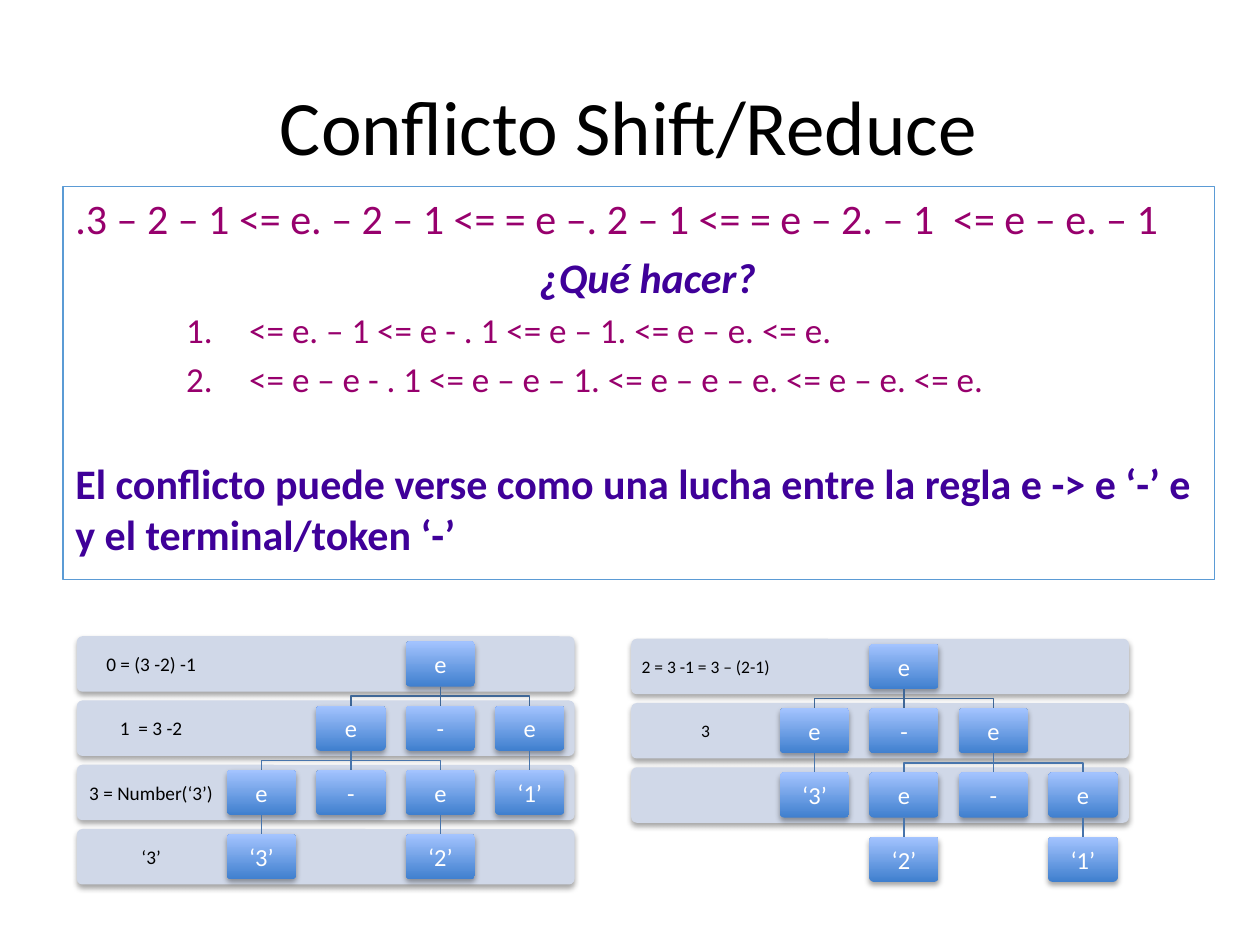
from lxml import etree
from pptx import Presentation
from pptx.dml.color import RGBColor
from pptx.enum import shapes, text
from pptx.oxml import ns
from pptx.util import Inches, Pt

BLACK = RGBColor(0x00, 0x00, 0x00)
WHITE = RGBColor(0xFF, 0xFF, 0xFF)
PLUM = RGBColor(0x97, 0x00, 0x6D)
INDIGO = RGBColor(0x3F, 0x00, 0x99)
FRAME = RGBColor(0x5B, 0x9B, 0xD5)
BAND = RGBColor(0xD0, 0xD8, 0xE8)
NODE_DARK = RGBColor(0x3F, 0x7F, 0xCE)
NODE_LIGHT = RGBColor(0xA4, 0xC4, 0xFF)
LINK_TOP = RGBColor(0x3F, 0x67, 0x97)
LINK = RGBColor(0x48, 0x75, 0xAC)

PITCH_X, PITCH_Y = 0.71, 0.51
NODE_W, NODE_H = 0.55, 0.36
BAND_W, BAND_H, LABEL_W = 3.95, 0.44, 1.18


def write(tf, words, size, color, inset):
    tf.word_wrap = True
    tf.vertical_anchor = text.MSO_ANCHOR.MIDDLE
    tf.margin_left = tf.margin_right = tf.margin_top = tf.margin_bottom = Inches(inset)
    p = tf.paragraphs[0]
    p.alignment = text.PP_ALIGN.CENTER
    r = p.add_run()
    r.text = words
    r.font.name, r.font.size, r.font.color.rgb = "Calibri", Pt(size), color


def add_card(s, left, top, width, height):
    sp = s.shapes.add_shape(shapes.MSO_SHAPE.ROUNDED_RECTANGLE,
                            Inches(left), Inches(top), Inches(width), Inches(height))
    sp.adjustments[0] = 0.1
    sp.line.fill.background()
    sp.shadow.inherit = False
    effects = sp._element.spPr.find(ns.qn("a:effectLst"))
    shadow = etree.SubElement(effects, ns.qn("a:outerShdw"), blurRad=str(Pt(3.1)),
                              dist=str(Pt(1.8)), dir="5400000", rotWithShape="0")
    shade = etree.SubElement(shadow, ns.qn("a:srgbClr"), val="000000")
    etree.SubElement(shade, ns.qn("a:alpha"), val="35000")
    return sp


prs = Presentation()
prs.slide_width, prs.slide_height = Inches(10), Inches(7.5)
s = prs.slides.add_slide(prs.slide_layouts[6])

body = s.shapes.add_textbox(Inches(0.5), Inches(1.48), Inches(9.14), Inches(3.12))
body.line.color.rgb = FRAME
body.line.width = Pt(0.75)
tf = body.text_frame
tf.word_wrap = True
LEFT, CENTER = text.PP_ALIGN.LEFT, text.PP_ALIGN.CENTER
paragraphs = [
    (".3 – 2 – 1 <= e. – 2 – 1 <= = e –. 2 – 1 <= = e – 2. – 1  <= e – e. – 1",
     24, PLUM, False, False, LEFT, 4.8, 0, 0),
    ("¿Qué hacer?", 24, INDIGO, True, True, CENTER, 4.8, 0.14, 0),
    ("<= e. – 1 <= e - . 1 <= e – 1. <= e – e. <= e.",
     20, PLUM, False, False, LEFT, 4, 1.38, -0.5),
    ("<= e – e - . 1 <= e – e – 1. <= e – e – e. <= e – e. <= e.",
     20, PLUM, False, False, LEFT, 4, 1.38, -0.5),
    ("El conflicto puede verse como una lucha entre la regla e -> e ‘-’ e "
     "y el terminal/token ‘-’", 24, INDIGO, True, False, LEFT, 33, 0, 0),
]
for i, (words, size, color, bold, italic, align, before, margin, indent) in enumerate(paragraphs):
    p = tf.add_paragraph() if i else tf.paragraphs[0]
    p.alignment, p.space_before = align, Pt(before)
    pPr = p._p.get_or_add_pPr()
    pPr.set("marL", str(Inches(margin)))
    pPr.set("indent", str(Inches(indent)))
    if indent:
        p.level = 2
        font = etree.SubElement(pPr, ns.qn("a:buFont"), typeface="+mj-lt")
        etree.SubElement(pPr, ns.qn("a:buAutoNum"), type="arabicPeriod")
    r = p.add_run()
    r.text = words
    r.font.name, r.font.size, r.font.color.rgb = "Calibri", Pt(size), color
    r.font.bold, r.font.italic = bold, italic

title = s.shapes.add_textbox(Inches(0.5), Inches(0.3), Inches(8.98), Inches(1.38))
write(title.text_frame, "Conflicto Shift/Reduce", 44, BLACK, 0.1)

trees = [
    (5.01, 5.07, 6.19, 10, 0.08, ["2 = 3 -1 = 3 – (2-1)", "3", ""],
     [(0, 1, "e", None), (1, 0, "e", 1), (2, 0, "‘3’", 0), (1, 1, "-", 1), (1, 2, "e", 1),
      (2, 1, "e", 2), (3, 1, "‘2’", 1), (2, 2, "-", 2), (2, 3, "e", 2), (3, 3, "‘1’", 3)]),
    (0.61, 5.05, 1.8, 11, 0.09, ["0 = (3 -2) -1", "1  = 3 -2", "3 = Number(‘3’)", "‘3’"],
     [(0, 2, "e", None), (1, 1, "e", 2), (2, 0, "e", 1), (3, 0, "‘3’", 0), (2, 1, "-", 1),
      (2, 2, "e", 1), (3, 2, "‘2’", 2), (1, 2, "-", 2), (1, 3, "e", 2), (2, 3, "‘1’", 3)]),
]
for band_x, band_y, node_x, label_size, inset, labels, nodes in trees:
    for row, label in reversed(list(enumerate(labels))):
        top = band_y + row * PITCH_Y
        sp = add_card(s, band_x, top, BAND_W, BAND_H)
        sp.fill.solid()
        sp.fill.fore_color.rgb = BAND
        if label:
            tb = s.shapes.add_textbox(Inches(band_x), Inches(top), Inches(LABEL_W), Inches(BAND_H))
            write(tb.text_frame, label, label_size, BLACK, inset)

    for row, col, words, parent in nodes:
        left = node_x + col * PITCH_X
        top = band_y + 0.04 + row * PITCH_Y
        if parent is not None:
            x = Inches(left + NODE_W / 2)
            x0 = Inches(node_x + parent * PITCH_X + NODE_W / 2)
            y, y0 = Inches(top), Inches(top - PITCH_Y + NODE_H)
            if parent == col:
                link = s.shapes.add_connector(shapes.MSO_CONNECTOR.STRAIGHT, x0, y0, x, y)
                etree.SubElement(link._element.spPr, ns.qn("a:effectLst"))
            else:
                mid = (y + y0) // 2
                path = s.shapes.build_freeform(x0, y0)
                path.add_line_segments([(x0, mid), (x, mid), (x, y)], close=False)
                link = path.convert_to_shape()
                link.fill.background()
                link.shadow.inherit = False
            link.line.color.rgb = LINK_TOP if row == 1 else LINK
            link.line.width = Pt(0.75)

        sp = add_card(s, left, top, NODE_W, NODE_H)
        sp.fill.gradient()
        sp.fill.gradient_angle = 90
        for stop, color in zip(sp.fill.gradient_stops, (NODE_DARK, NODE_LIGHT)):
            stop.color.rgb = color
        write(sp.text_frame, words, 14, WHITE, 0.06)

prs.save("out.pptx")
